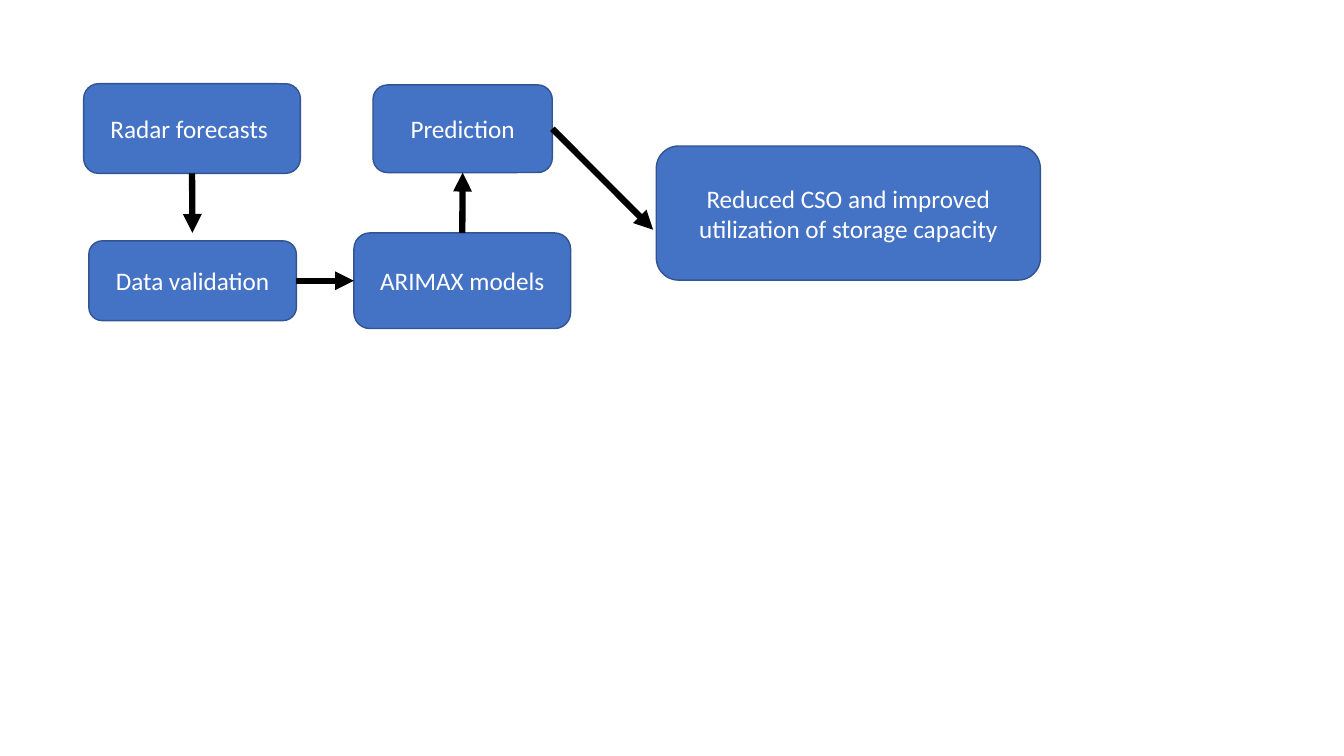
from lxml import etree
from pptx import Presentation
from pptx.dml.color import RGBColor
from pptx.enum.shapes import MSO_CONNECTOR, MSO_SHAPE
from pptx.enum.text import MSO_ANCHOR, PP_ALIGN
from pptx.oxml.ns import qn
from pptx.util import Cm, Pt

ROUND = MSO_SHAPE.ROUNDED_RECTANGLE
LINE = MSO_CONNECTOR.STRAIGHT
MIDDLE = MSO_ANCHOR.MIDDLE
CENTER = PP_ALIGN.CENTER
TOP, LEFT, BOTTOM, RIGHT = range(4)
BLANK = 6

FONT = {"name": "Calibri", "size": Pt(18)}
FRAME = {"word_wrap": True, "vertical_anchor": MIDDLE}

STEPS = {
    "radar": ("Radar forecasts ", 0, 0, 5.46, 2.26),
    "model": ("ARIMAX models", 6.81, 3.76, 5.46, 2.41),
    "guess": ("Prediction", 7.29, 0.03, 4.52, 2.21),
    "gain": ("Reduced CSO and improved utilization of storage capacity",
             14.43, 1.57, 9.68, 3.38),
    "check": ("Data validation", 0.13, 3.96, 5.23, 2.01),
}
LINKS = [
    ("radar", BOTTOM, (2.74, 3.76), None),
    ("check", RIGHT, (6.81, 4.96), ("model", LEFT)),
    ("model", TOP, (9.55, 2.24), ("guess", BOTTOM)),
    ("guess", RIGHT, (14.35, 3.68), None),
]


def tint(code):
    """Turn a hex string into a colour."""
    return RGBColor.from_string(code)


def style(item, values):
    """Set each named value on the item."""
    for name, value in values.items():
        setattr(item, name, value)


def add_step(slide, text, left, top, width, height):
    """Draw one rounded box with centred text."""
    step = slide.shapes.add_shape(ROUND, Cm(left), Cm(top), Cm(width), Cm(height))
    step.shadow.inherit = False
    step.fill.solid()
    step.fill.fore_color.rgb = tint("4472C4")
    step.line.color.rgb = tint("325491")
    step.line.width = Pt(1)
    style(step.text_frame, FRAME)
    para = step.text_frame.paragraphs[0]
    para.alignment = CENTER
    run = para.add_run()
    run.text = text
    style(run.font, FONT)
    run.font.color.rgb = tint("FFFFFF")
    return step


def add_link(slide, start, site, end, goal):
    """Draw an arrow from a side of a step to a point or another step."""
    link = slide.shapes.add_connector(LINE, 0, 0, Cm(end[0]), Cm(end[1]))
    link.begin_connect(start, site)
    if goal:
        link.end_connect(*goal)
    link.line.color.rgb = tint("000000")
    link.line.width = Pt(4.5)
    etree.SubElement(link.line._get_or_add_ln(), qn("a:tailEnd"), type="triangle")
    etree.SubElement(link._element.spPr, qn("a:effectLst"))


def add_flow(slide, left, top):
    """Place the steps and their arrows from the given corner."""
    steps = {
        key: add_step(slide, text, left + x, top + y, width, height)
        for key, (text, x, y, width, height) in STEPS.items()
    }
    for start, site, (x, y), goal in LINKS:
        target = (steps[goal[0]], goal[1]) if goal else None
        add_link(slide, steps[start], site, (left + x, top + y), target)


def main():
    """Build and save the slide."""
    deck = Presentation()
    style(deck, {"slide_width": Cm(33.87), "slide_height": Cm(19.05)})
    slide = deck.slides.add_slide(deck.slide_layouts[BLANK])
    add_flow(slide, 2.11, 2.11)
    deck.save("out.pptx")


if __name__ == "__main__":
    main()
